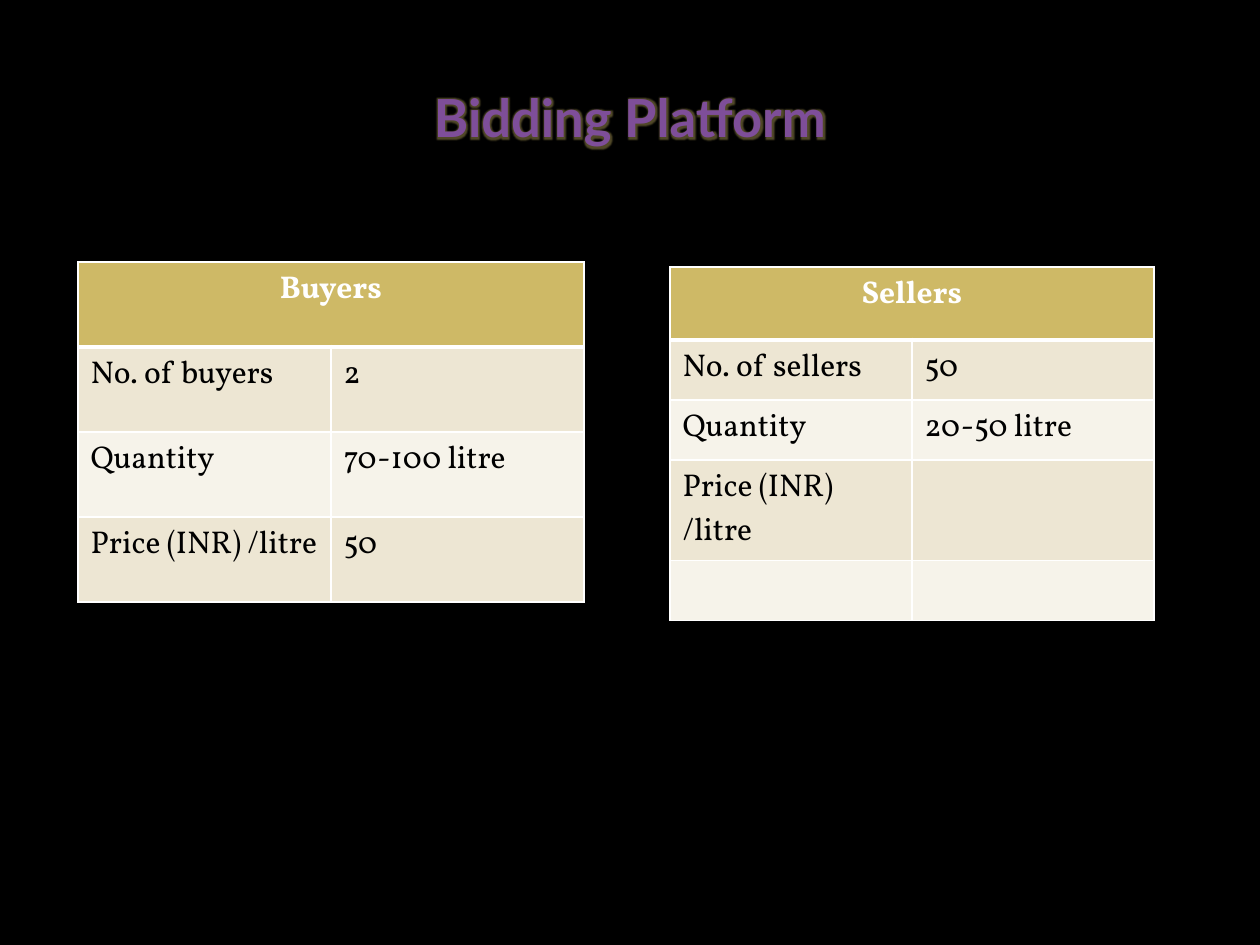
from dataclasses import dataclass

from lxml import etree
from pptx import Presentation
from pptx.dml.color import RGBColor
from pptx.enum.text import MSO_ANCHOR, PP_ALIGN
from pptx.oxml import parse_xml
from pptx.oxml.ns import nsdecls, qn
from pptx.util import Emu, Pt

CENTER, LEFT = PP_ALIGN.CENTER, PP_ALIGN.LEFT
MIDDLE = MSO_ANCHOR.MIDDLE
PX = 914400 // 126
TITLE_ONLY = 5

BLACK, WHITE = "000000", "FFFFFF"
PURPLE, GOLD = "7E4E99", "CEB966"
BANDS = ("F6F3EA", "EDE6D3")


@dataclass
class BidTable:
    heading: str
    left: int
    top: int
    column_width: int
    row_heights: list[int]
    entries: list[tuple[str, str]]


BID_TABLES = [
    BidTable("Buyers", 78, 262, 253, [85, 85, 85, 85],
             [("No. of buyers", "2"), ("Quantity", "70-100 litre"),
              ("Price (INR) /litre", "50")]),
    BidTable("Sellers", 670, 267, 242, [73, 60, 60, 100, 60],
             [("No. of sellers", "50"), ("Quantity", "20-50 litre"),
              ("Price (INR) /litre", ""), ("", "")]),
]


def px(length: int) -> Emu:
    return Emu(length * PX)


def rgb(color: str) -> RGBColor:
    return RGBColor.from_string(color)


def style_paragraph(paragraph, font_name: str, size: int, color: str,
                    bold: bool, align) -> None:
    paragraph.alignment = align
    font = paragraph.font
    font.name, font.size, font.bold = font_name, Pt(size), bold
    font.color.rgb = rgb(color)


def add_glow(run, color: str, radius: int, opacity: int) -> None:
    run.font.fill.solid()
    run.font.fill.fore_color.rgb = rgb(PURPLE)
    run.font.fill  # the effect list follows the fill in the schema
    run_properties = run.font.fill._xPr
    run_properties.find(qn("a:solidFill")).addnext(parse_xml(
        f'<a:effectLst {nsdecls("a")}><a:glow rad="{Pt(radius)}">'
        f'<a:srgbClr val="{color}"><a:alpha val="{opacity * 1000}"/></a:srgbClr>'
        f'</a:glow></a:effectLst>'))


def set_borders(cell, top: int, bottom: int) -> None:
    """Draw white borders; top and bottom are widths in points."""
    properties = cell._tc.get_or_add_tcPr()
    widths = {"lnL": 1, "lnR": 1, "lnT": top, "lnB": bottom}
    for position, (side, width) in enumerate(widths.items()):
        line = etree.Element(qn(f"a:{side}"), w=str(Pt(width)))
        fill = etree.SubElement(line, qn("a:solidFill"))
        etree.SubElement(fill, qn("a:srgbClr"), val=WHITE)
        properties.insert(position, line)


def add_bid_table(slide, bid: BidTable) -> None:
    rows = [(bid.heading, ""), *bid.entries]
    table = slide.shapes.add_table(
        len(rows), 2, px(bid.left), px(bid.top),
        px(2 * bid.column_width), px(sum(bid.row_heights))).table
    for column in table.columns:
        column.width = px(bid.column_width)
    table.cell(0, 0).merge(table.cell(0, 1))
    for row, texts in enumerate(rows):
        table.rows[row].height = px(bid.row_heights[row])
        heading = row == 0
        for column, text in enumerate(texts):
            cell = table.cell(row, column)
            cell.fill.solid()
            cell.fill.fore_color.rgb = rgb(GOLD if heading else BANDS[row % 2])
            set_borders(cell, 3 if row == 1 else 1, 3 if heading else 1)
            if text:
                cell.text = text
                style_paragraph(cell.text_frame.paragraphs[0], "Vollkorn", 18,
                                WHITE if heading else BLACK, heading,
                                CENTER if heading else LEFT)


def add_title(slide, text: str) -> None:
    title = slide.shapes.title
    title.left, title.top, title.width, title.height = map(px, (63, 38, 1134, 158))
    title.text_frame.text = text
    title.text_frame.vertical_anchor = MIDDLE
    paragraph = title.text_frame.paragraphs[0]
    style_paragraph(paragraph, "Lato", 30, PURPLE, True, CENTER)
    add_glow(paragraph.runs[0], GOLD, 4, 40)


def main() -> None:
    presentation = Presentation()
    presentation.slide_width, presentation.slide_height = px(1260), px(945)
    slide = presentation.slides.add_slide(presentation.slide_layouts[TITLE_ONLY])
    slide.background.fill.solid()
    slide.background.fill.fore_color.rgb = rgb(BLACK)
    add_title(slide, "Bidding Platform")
    for bid in BID_TABLES:
        add_bid_table(slide, bid)
    presentation.save("out.pptx")


if __name__ == "__main__":
    main()
